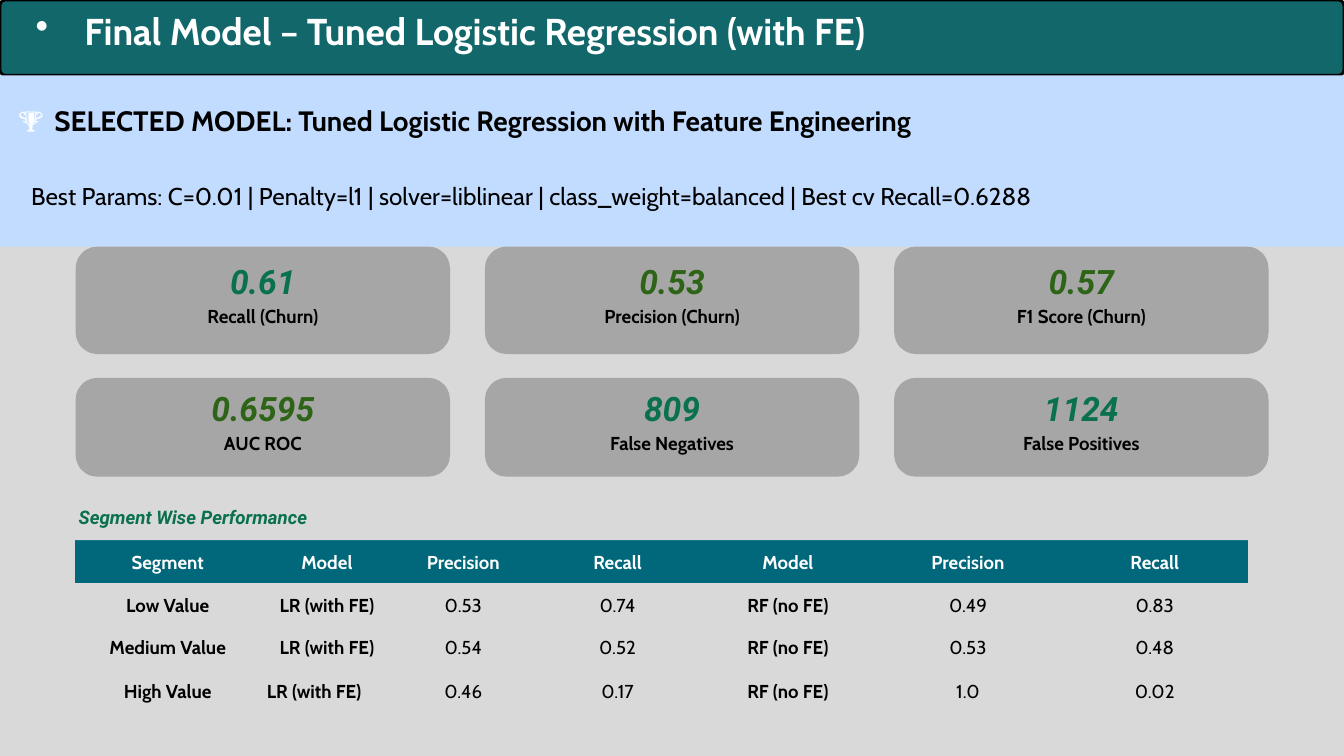
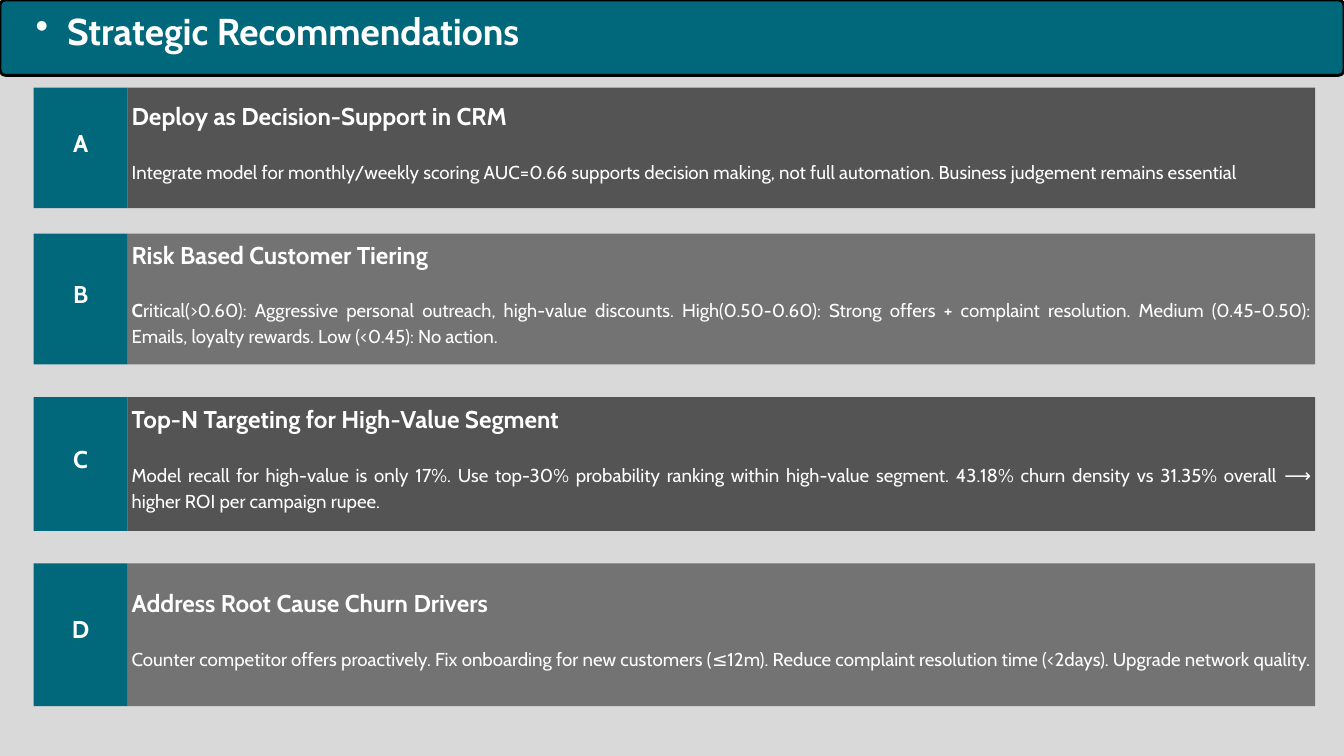
from dataclasses import dataclass, replace
from typing import NamedTuple

from pptx import Presentation
from pptx.dml.color import RGBColor
from pptx.enum.shapes import MSO_SHAPE as Shape
from pptx.enum.text import MSO_ANCHOR as Anchor, PP_ALIGN as Align
from pptx.oxml.ns import qn
from pptx.oxml.xmlchemy import OxmlElement
from pptx.util import Pt


class Box(NamedTuple):
    left: float
    top: float
    width: float
    height: float

    def points(self):
        return [Pt(length) for length in self]

    def raised(self, lift):
        return Box(self.left, self.top - lift, self.width, self.height + lift)


@dataclass(frozen=True)
class TextStyle:
    size: float
    color: str
    bold: bool = True
    italic: bool = False
    font: str = "Cabin"


@dataclass(frozen=True)
class Theme:
    background: str = "D9D9D9"
    teal: str = "00687A"
    green_teal: str = "11676A"
    banner: str = "C2DCFF"
    card: str = "A6A6A6"
    dark_panel: str = "545454"
    light_panel: str = "737373"
    black: str = "000000"
    white: str = "FFFFFF"
    green: str = "0A714E"
    olive: str = "2E6417"
    line_factor: float = 1.4
    inset: float = 4.3
    title: TextStyle = TextStyle(40, "FFFFFF")
    selected: TextStyle = TextStyle(30, "000000")
    params: TextStyle = TextStyle(26, "000000", bold=False)
    value: TextStyle = TextStyle(36, "0A714E", italic=True, font="Roboto")
    label: TextStyle = TextStyle(20, "000000")
    section: TextStyle = TextStyle(20, "0A714E", italic=True, font="Roboto")
    heading: TextStyle = TextStyle(26, "FFFFFF")
    body: TextStyle = TextStyle(20, "FFFFFF", bold=False)


THEME = Theme()
SLIDE = Box(0, 0, 1440, 810)
TITLE_BAR = Box(0, 0, 1440, 80.8)

CARD_ROWS = [
    (264.2, 115.2, [
        ("0.61", "Recall (Churn)", THEME.green),
        ("0.53", "Precision (Churn)", THEME.olive),
        ("0.57", "F1 Score (Churn)", THEME.olive),
    ]),
    (404.8, 106, [
        ("0.6595", "AUC ROC", THEME.olive),
        ("809", "False Negatives", THEME.green),
        ("1124", "False Positives", THEME.green),
    ]),
]

SEGMENT_COLUMNS = [199.4, 141.8, 150.5, 180, 185, 200.9, 199.4]
SEGMENT_HEIGHTS = [45.4, 45.4, 45.4, 49]
SEGMENT_HEADER = ["Segment", "Model", "Precision", "Recall", "Model", "Precision", "Recall"]
SEGMENT_SCORES = [
    ("Low Value", "0.53", "0.74", "0.49", "0.83"),
    ("Medium Value", "0.54", "0.52", "0.53", "0.48"),
    ("High Value", "0.46", "0.17", "1.0", "0.02"),
]

RECOMMENDATIONS = [
    ("A", 93.8, 129.2, "Deploy as Decision-Support in CRM", "",
     "Integrate model for monthly/weekly scoring AUC=0.66 supports decision making, "
     "not full automation. Business judgement remains essential"),
    ("B", 250.4, 140, "Risk Based Customer Tiering", "C",
     "ritical(>0.60): Aggressive personal outreach, high-value discounts. "
     "High(0.50-0.60): Strong offers + complaint resolution. "
     "Medium (0.45-0.50): Emails, loyalty rewards. Low (<0.45): No action."),
    ("C", 425.4, 143.4, "Top-N Targeting for High-Value Segment", "",
     "Model recall for high-value is only 17%. Use top-30% probability ranking within "
     "high-value segment. 43.18% churn density vs 31.35% overall ⟶ higher ROI per "
     "campaign rupee."),
    ("D", 603.6, 153, "Address Root Cause Churn Drivers", "",
     "Counter competitor offers proactively. Fix onboarding for new customers (≤12m). "
     "Reduce complaint resolution time (<2days). Upgrade network quality."),
]


def rgb(color):
    return RGBColor.from_string(color)


def add_panel(slide, box, color, radius=0, line_width=0):
    kind = Shape.ROUNDED_RECTANGLE if radius else Shape.RECTANGLE
    shape = slide.shapes.add_shape(kind, *box.points())
    shape.shadow.inherit = False
    shape.fill.solid()
    shape.fill.fore_color.rgb = rgb(color)
    if radius:
        shape.adjustments[0] = radius / min(box.width, box.height)
    if line_width:
        shape.line.color.rgb = rgb(THEME.black)
        shape.line.width = Pt(line_width)
    else:
        shape.line.fill.background()
    return shape


def add_text_frame(slide, box):
    frame = slide.shapes.add_textbox(*box.points()).text_frame
    frame.word_wrap = True
    frame.vertical_anchor = Anchor.MIDDLE
    frame.margin_left = frame.margin_right = Pt(THEME.inset)
    frame.margin_top = frame.margin_bottom = Pt(THEME.inset)
    return frame


def write(paragraph, runs, align=Align.LEFT, space_before=0):
    paragraph.alignment = align
    paragraph.line_spacing = Pt(max(style.size for _, style in runs) * THEME.line_factor)
    if space_before:
        paragraph.space_before = Pt(space_before)
    for text, style in runs:
        run = paragraph.add_run()
        run.text = text
        font = run.font
        font.name, font.size = style.font, Pt(style.size)
        font.bold, font.italic = style.bold, style.italic
        font.color.rgb = rgb(style.color)


def indent(paragraph, margin, hanging=0):
    properties = paragraph._p.get_or_add_pPr()
    properties.set("marL", str(Pt(margin)))
    properties.set("indent", str(Pt(-hanging)))
    return properties


def add_title(slide, box, text, color, margin):
    add_panel(slide, box, color, radius=6, line_width=3)
    paragraph = add_text_frame(slide, box.raised(23)).paragraphs[0]
    paragraph.level = 1
    bullet = OxmlElement("a:buChar")
    bullet.set("char", "•")
    indent(paragraph, margin, margin - 34).append(bullet)
    write(paragraph, [(text, THEME.title)])


def add_banner(slide, box):
    add_panel(slide, box, THEME.banner)
    frame = add_text_frame(slide, box.raised(14))
    selected = frame.paragraphs[0]
    indent(selected, 54, 39)
    write(selected, [
        ("🏆", replace(THEME.selected, color=THEME.white)),
        ("\tSELECTED MODEL: Tuned Logistic Regression with Feature Engineering", THEME.selected),
    ], Align.JUSTIFY)
    params = frame.add_paragraph()
    indent(params, 29)
    write(params, [(
        "Best Params: C=0.01 | Penalty=l1 | solver=liblinear | class_weight=balanced | "
        "Best cv Recall=0.6288", THEME.params)], Align.JUSTIFY, space_before=42)


def add_card(slide, box, value, label, color):
    add_panel(slide, box, THEME.card, radius=23.4)
    frame = add_text_frame(slide, box.raised(20))
    write(frame.paragraphs[0], [(value, replace(THEME.value, color=color))], Align.CENTER)
    write(frame.add_paragraph(), [(label, THEME.label)], Align.CENTER)


def add_cards(slide, left, width, gap):
    for top, height, cards in CARD_ROWS:
        for column, card in enumerate(cards):
            add_card(slide, Box(left + column * (width + gap), top, width, height), *card)


def add_segment_table(slide, box):
    rows = [SEGMENT_HEADER] + [
        [segment, "LR (with FE)", *scores[:2], "RF (no FE)", *scores[2:]]
        for segment, *scores in SEGMENT_SCORES
    ]
    table = slide.shapes.add_table(len(rows), len(SEGMENT_COLUMNS), *box.points()).table
    table.first_row = table.horz_banding = False
    style_id = table._tbl.tblPr.find(qn("a:tableStyleId"))
    style_id.text = "{2D5ABB26-0587-4C30-8999-92F81FD0307C}"
    for column, width in zip(table.columns, SEGMENT_COLUMNS):
        column.width = Pt(width)
    for row, height in zip(table.rows, SEGMENT_HEIGHTS):
        row.height = Pt(height)
    for row, texts in enumerate(rows):
        for column, text in enumerate(texts):
            cell = table.cell(row, column)
            cell.vertical_anchor = Anchor.MIDDLE
            cell.margin_left = cell.margin_right = Pt(6.5)
            cell.margin_top = cell.margin_bottom = Pt(6.5)
            is_header = row == 0
            is_last_model = (row, column) == (len(rows) - 1, 1)
            if is_header or is_last_model:
                cell.fill.solid()
                cell.fill.fore_color.rgb = rgb(THEME.teal if is_header else THEME.background)
            else:
                cell.fill.background()
            style = replace(
                THEME.label,
                color=THEME.white if is_header else THEME.black,
                bold=is_header or column in (0, 1, 4),
            )
            align = Align.LEFT if is_last_model else Align.CENTER
            write(cell.text_frame.paragraphs[0], [(text, style)], align)


def add_segment_heading(slide, box):
    add_panel(slide, box, THEME.background)
    frame = add_text_frame(slide, box.raised(11.5))
    write(frame.paragraphs[0], [("Segment Wise Performance", THEME.section)])


def add_recommendation(slide, box, color, letter, heading, lead, body):
    letter_width, lift = 100.8, 17
    letter_box = box._replace(width=letter_width)
    panel_box = box._replace(left=box.left + letter_width, width=box.width - letter_width)
    add_panel(slide, panel_box, color)
    frame = add_text_frame(slide, panel_box.raised(lift))
    write(frame.paragraphs[0], [(heading, THEME.heading)], Align.JUSTIFY)
    runs = [(lead, replace(THEME.body, bold=True))] if lead else []
    write(frame.add_paragraph(), runs + [(body, THEME.body)], Align.JUSTIFY, space_before=28)
    add_panel(slide, letter_box, THEME.teal)
    frame = add_text_frame(slide, letter_box.raised(lift))
    write(frame.paragraphs[0], [(letter, THEME.heading)], Align.CENTER)


def add_slide(presentation):
    slide = presentation.slides.add_slide(presentation.slide_layouts[6])
    slide.background.fill.solid()
    slide.background.fill.fore_color.rgb = rgb(THEME.background)
    return slide


def build_final_model(presentation):
    slide = add_slide(presentation)
    add_title(slide, TITLE_BAR, "Final Model – Tuned Logistic Regression (with FE)",
              THEME.green_teal, margin=86)
    add_banner(slide, Box(0, 80.8, 1440, 183.5))
    add_cards(slide, left=81, width=401.2, gap=37.3)
    add_segment_table(slide, Box(80, 578.8, sum(SEGMENT_COLUMNS), sum(SEGMENT_HEIGHTS)))
    add_segment_heading(slide, Box(80, 536.4, 1278, 42.4))


def build_recommendations(presentation):
    slide = add_slide(presentation)
    add_title(slide, TITLE_BAR, "Strategic Recommendations", THEME.teal, margin=67.7)
    for index, (letter, top, height, *texts) in enumerate(RECOMMENDATIONS):
        color = THEME.light_panel if index % 2 else THEME.dark_panel
        add_recommendation(slide, Box(36, top, 1373, height), color, letter, *texts)


def main():
    presentation = Presentation()
    presentation.slide_width = Pt(SLIDE.width)
    presentation.slide_height = Pt(SLIDE.height)
    build_final_model(presentation)
    build_recommendations(presentation)
    presentation.save("out.pptx")


if __name__ == "__main__":
    main()
